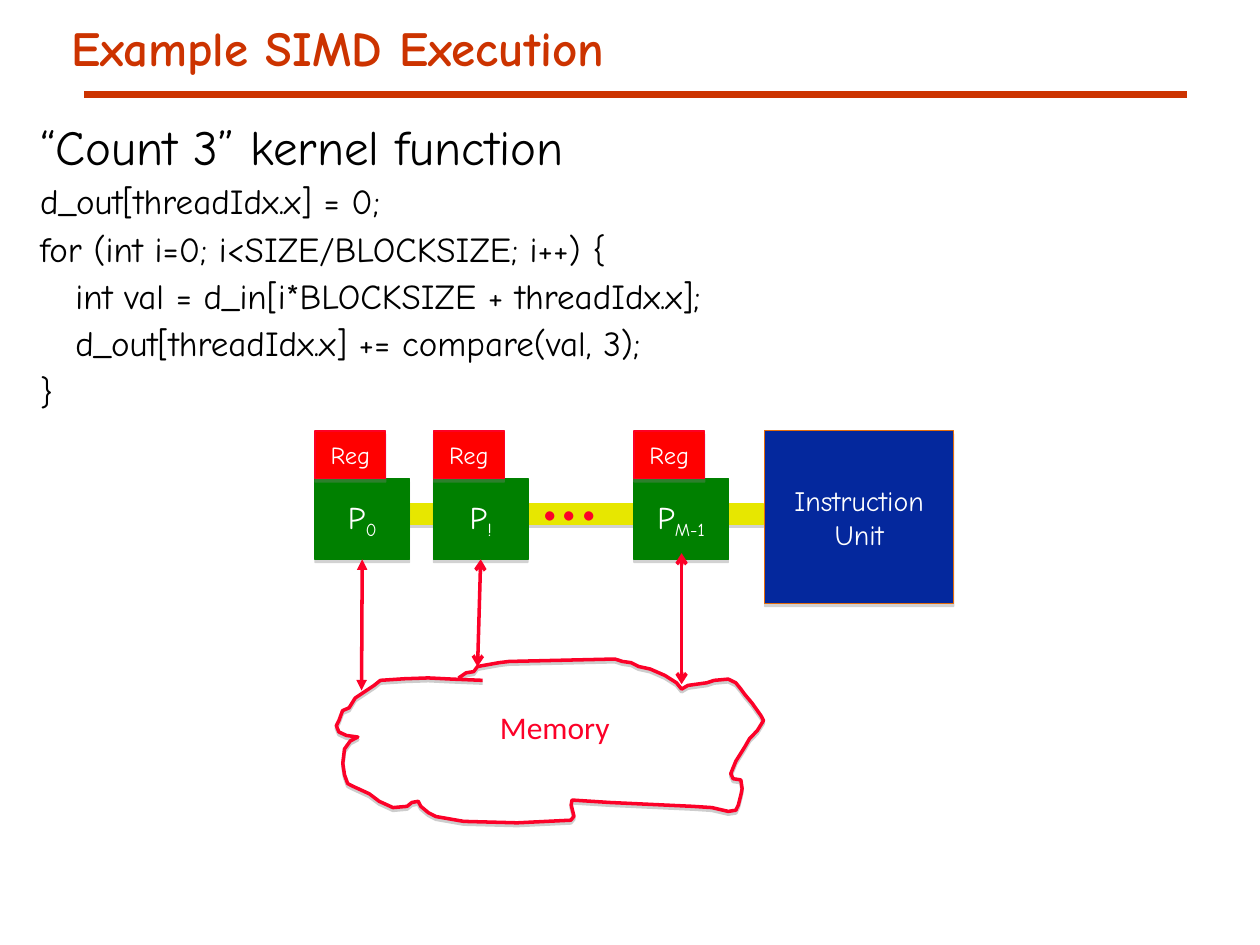
from dataclasses import dataclass

import lxml.etree
import pptx
import pptx.dml.color
import pptx.enum.shapes
import pptx.enum.text
import pptx.oxml.ns
import pptx.util

Pt = pptx.util.Pt
qn = pptx.oxml.ns.qn
ALIGN = pptx.enum.text.PP_ALIGN
ANCHOR = pptx.enum.text.MSO_ANCHOR


@dataclass(frozen=True)
class Theme:
    hand: str = "Comic Neue"
    plain: str = "Calibri"
    heading: str = "CC3300"
    ink: str = "000000"
    light: str = "FFFFFF"
    bus: str = "E7E700"
    processor: str = "008000"
    register: str = "FF0000"
    register_edge: str = "FD0023"
    unit: str = "04289D"
    unit_edge: str = "E46C0A"
    signal: str = "FC0128"
    shadow: str = "808080"
    title_size: int = 28
    code_size: int = 20
    label_size: int = 18
    unit_size: int = 16
    register_size: int = 14
    dots_size: int = 44


THEME = Theme()
TIGHT = (5, 2.2)
ROOMY = (7.2, 3.6)
PROCESSOR_TOP, PROCESSOR_WIDTH, PROCESSOR_HEIGHT = 273.6, 54, 46
REGISTER_WIDTH, REGISTER_HEIGHT = 40.5, 27.3
PROCESSORS = [(180, "0"), (247.7, "!"), (362.2, "M-1")]
CODE = [
    "d_out[threadIdx.x] = 0;",
    "for (int i=0; i<SIZE/BLOCKSIZE; i++) {",
    "   int val = d_in[i*BLOCKSIZE + threadIdx.x];",
    "   d_out[threadIdx.x] += compare(val, 3);",
    "}",
]
CLOUD = [
    (275.8, 388.8), (258.5, 388.1), (244.8, 387.4), (231, 387.9), (217.4, 388.8),
    (213.8, 391.7), (203, 398.9), (199.5, 404.5), (195.8, 406.1), (193.7, 411.8),
    (192.2, 414.7), (193.7, 418.3), (198, 420.3), (204.5, 421.2), (200.2, 423.4),
    (196.9, 428), (195.9, 436.2), (196.9, 442.8), (198.7, 447.8), (201.6, 449.3),
    (211, 453.6), (216.7, 457.9), (224.6, 461.5), (232.6, 460.8), (235.4, 458.6),
    (239, 457.9), (240.5, 460.8), (244.8, 464.4), (249.1, 466.6), (265, 469.4),
    (295.6, 470.2), (326.2, 468.7), (328, 466.5), (326.4, 460), (326.9, 457.2),
    (348.5, 458.6), (396, 460.8), (406.8, 461.5), (416.2, 463.7), (420.5, 463),
    (421.9, 460.1), (423.4, 454.3), (424.1, 450.7), (423.4, 445.7), (419, 445),
    (417.6, 442.1), (420.5, 435), (425.5, 427), (428.4, 422), (432.7, 417.6),
    (436.3, 411.8), (434.9, 409), (429.8, 401.8), (425.5, 396.7), (423.4, 393.8),
    (420.5, 390.2), (416.2, 388.1), (408.2, 388.8), (403.9, 390.2), (393.1, 391.7),
    (389.5, 393.8), (386.6, 390.2), (380, 386), (371.5, 382.3), (365, 380.9),
    (360.7, 378.7), (355.7, 378), (351.4, 376.6), (290.9, 378), (285.1, 378.7),
    (272.9, 380.9), (270.7, 383.8), (266.4, 384.5), (262.1, 387.4),
]


def color(value):
    return pptx.dml.color.RGBColor.from_string(value)


def apply(target, values):
    for name, value in values.items():
        setattr(target, name, value)


def add_span(para, text, size, font, ink, bold=False, subscript=False):
    span = para.add_run()
    span.text = text
    apply(span.font, {"size": Pt(size), "name": font, "bold": bold})
    span.font.color.rgb = color(ink)
    if subscript:
        span.font._element.set("baseline", "-25000")


def set_frame(frame, insets, wrap=True, anchor=ANCHOR.TOP):
    side, end = (Pt(value) for value in insets)
    apply(frame, {"margin_left": side, "margin_right": side, "margin_top": end,
                  "margin_bottom": end, "word_wrap": wrap, "vertical_anchor": anchor})


def add_para(frame, index, **values):
    para = frame.add_paragraph() if index else frame.paragraphs[0]
    apply(para, values)
    return para


def add_text(page, place, insets, wrap=True):
    box = page.shapes.add_textbox(*map(Pt, place))
    set_frame(box.text_frame, insets, wrap)
    return box.text_frame


def set_line(line, ink, width):
    line.color.rgb = color(ink)
    line.width = Pt(width)


def cast_shadow(shape, distance, alpha):
    shape.shadow.inherit = False
    effects = shape._element.spPr.find(qn("a:effectLst"))
    shadow = lxml.etree.SubElement(effects, qn("a:outerShdw"), blurRad="0",
                                   dist=str(Pt(distance)), dir="5400000",
                                   algn="ctr", rotWithShape="0")
    tone = lxml.etree.SubElement(shadow, qn("a:srgbClr"), val=THEME.shadow)
    lxml.etree.SubElement(tone, qn("a:alpha"), val=str(alpha * 1000))


def add_block(page, place, fill, edge):
    block = page.shapes.add_shape(pptx.enum.shapes.MSO_SHAPE.RECTANGLE, *map(Pt, place))
    block.fill.solid()
    block.fill.fore_color.rgb = color(fill)
    set_line(block.line, edge, 0.75)
    cast_shadow(block, 1.8, 35)
    set_frame(block.text_frame, ROOMY, anchor=ANCHOR.MIDDLE)
    return block


def label_block(block, lines, size):
    for index, text in enumerate(lines):
        para = add_para(block.text_frame, index, alignment=ALIGN.CENTER)
        add_span(para, text, size, THEME.hand, THEME.light)


def add_processor(page, left, number):
    place = (left, PROCESSOR_TOP, PROCESSOR_WIDTH, PROCESSOR_HEIGHT)
    block = add_block(page, place, THEME.processor, THEME.processor)
    label_block(block, ["P"], THEME.label_size)
    add_span(block.text_frame.paragraphs[0], number, THEME.label_size,
             THEME.hand, THEME.light, subscript=True)
    return block


def add_register(page, left):
    place = (left, PROCESSOR_TOP - REGISTER_HEIGHT, REGISTER_WIDTH, REGISTER_HEIGHT)
    block = add_block(page, place, THEME.register, THEME.register_edge)
    label_block(block, ["Reg"], THEME.register_size)


def add_line(page, start, end, ink, width, head=None, source=None):
    line = page.shapes.add_connector(pptx.enum.shapes.MSO_CONNECTOR.STRAIGHT,
                                     *map(Pt, start + end))
    if source is not None:
        line.begin_connect(source, 2)
    set_line(line.line, ink, width)
    if head:
        for tag in ("a:headEnd", "a:tailEnd"):
            lxml.etree.SubElement(line.line._get_or_add_ln(), qn(tag), type=head)
    lxml.etree.SubElement(line._element.spPr, qn("a:effectLst"))


def add_cloud(page):
    start, *rest = [(Pt(x), Pt(y)) for x, y in CLOUD]
    builder = page.shapes.build_freeform(*start)
    builder.add_line_segments(rest, close=False)
    cloud = builder.convert_to_shape()
    cloud.fill.background()
    set_line(cloud.line, THEME.signal, 2)
    cast_shadow(cloud, 1.6, 38)


def add_heading(page):
    add_line(page, (48.2, 54), (678.2, 54), THEME.heading, 3.75)
    frame = add_text(page, (36, 12.2, 648, 90), TIGHT)
    add_span(add_para(frame, 0, line_spacing=0.87), "Example SIMD Execution",
             THEME.title_size, THEME.hand, THEME.heading, bold=True)


def add_code(page):
    frame = add_text(page, (18, 72, 450, 198.7), TIGHT)
    for index, text in enumerate(["“Count 3” kernel function"] + CODE):
        para = add_para(frame, index, line_spacing=0.75, space_before=Pt(9 if index else 0))
        size = THEME.code_size if index else THEME.title_size
        add_span(para, text, size, THEME.hand, THEME.ink)


def add_diagram(page):
    add_block(page, (220.3, 288, 216, 11.5), THEME.bus, THEME.bus)
    unit = add_block(page, (437, 246.2, 108, 98.6), THEME.unit, THEME.unit_edge)
    label_block(unit, ["Instruction", "Unit"], THEME.unit_size)
    first, second, _ = [add_processor(page, *item) for item in PROCESSORS]
    for left, _ in PROCESSORS:
        add_register(page, left)
    add_cloud(page)
    dots = add_text(page, (301.7, 249.8, 60.5, 60.5), ROOMY)
    add_span(dots.paragraphs[0], "...", THEME.dots_size, THEME.plain, THEME.signal)
    for start, end, head, source in [
        ((207, 319.6), (206.6, 394.6), "triangle", first),
        ((274.7, 319.6), (272.9, 380.9), "arrow", second),
        ((389.5, 316.1), (389.5, 391), "arrow", None),
    ]:
        add_line(page, start, end, THEME.signal, 2, head, source)
    memory = add_text(page, (278.6, 401, 77, 29), ROOMY, wrap=False)
    add_span(memory.paragraphs[0], "Memory", THEME.label_size, THEME.plain, THEME.signal)


def main():
    deck = pptx.Presentation()
    apply(deck, {"slide_width": Pt(720), "slide_height": Pt(540)})
    page = deck.slides.add_slide(deck.slide_layouts[6])
    add_heading(page)
    add_code(page)
    add_diagram(page)
    deck.save("out.pptx")


if __name__ == "__main__":
    main()
